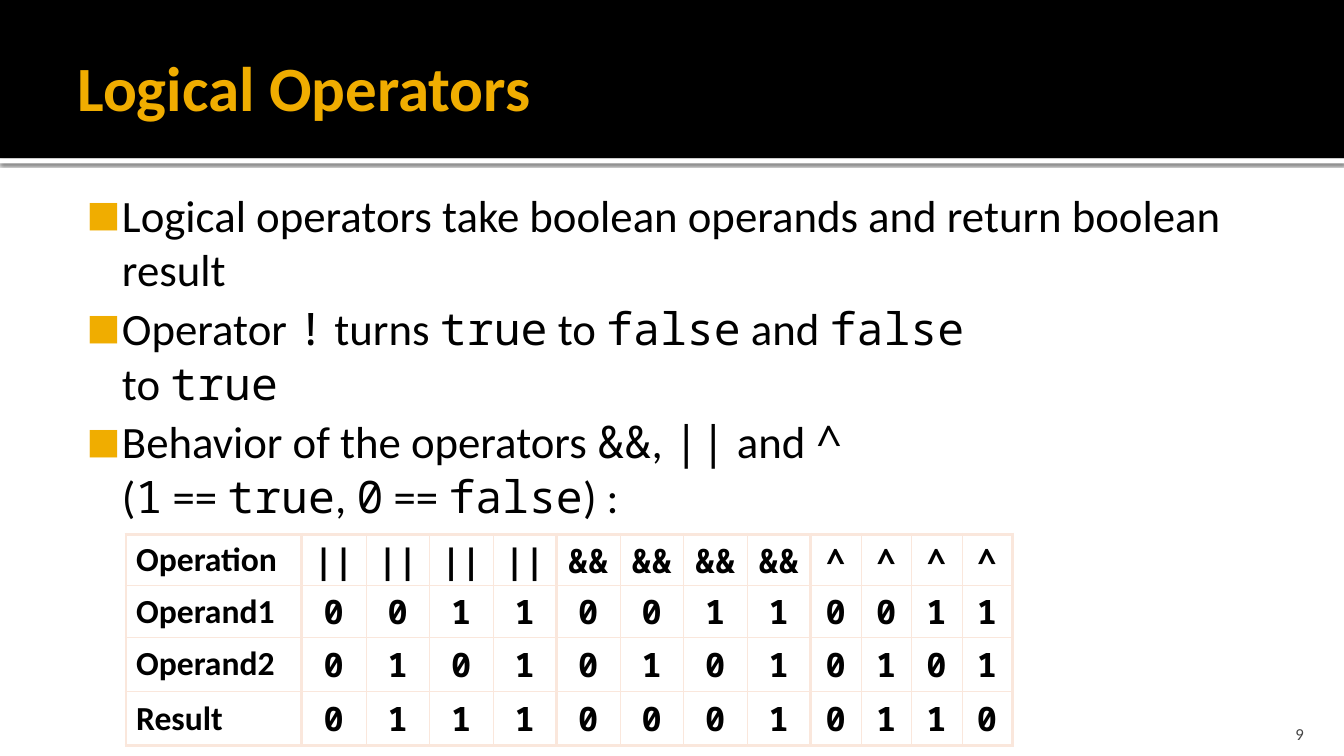
from lxml import etree
from pptx import Presentation
from pptx.dml.color import RGBColor as RGB
from pptx.enum.shapes import MSO_SHAPE as Shape
from pptx.enum.text import MSO_ANCHOR as Anchor, PP_ALIGN as Align
from pptx.oxml.ns import qn
from pptx.util import Inches, Pt

COLORS = {
    "black": "000000", "white": "FFFFFF", "gold": "F0AD00",
    "gray": "454545", "border": "FAE7DC",
}
SANS, MONO = "Calibri", "Noto Sans Mono"

BULLETS = [
    "Logical operators take boolean operands and return boolean result",
    "Operator `!` turns `true` to `false` and `false `\nto `true`",
    "Behavior of the operators `&&`, `||` and `^ `\n(`1` == `true`, `0` == `false`) :",
]

OPERATORS = {
    "||": lambda a, b: a | b,
    "&&": lambda a, b: a & b,
    "^": lambda a, b: a ^ b,
}
OPERANDS = [(a, b) for a in (0, 1) for b in (0, 1)]
CASES = [(name, a, b, rule(a, b)) for name, rule in OPERATORS.items() for a, b in OPERANDS]
TRUTH_ROWS = list(zip(("Operation", "Operand1", "Operand2", "Result"), *CASES))
COLUMN_WIDTHS = [1.74, 0.64] + [0.63] * 7 + [0.5] * 4
ROW_HEIGHTS = [0.51, 0.51, 0.54, 0.54]


class SlideBuilder:
    def __init__(self, page):
        self.page = page

    def style(self, span, size, color="black", font=SANS, bold=False):
        span.font.name = font
        span.font.size = Pt(size)
        span.font.bold = bold
        span.font.color.rgb = RGB.from_string(COLORS[color])

    def band(self, top, height, color, shadow=False):
        box = self.page.shapes.add_shape(
            Shape.RECTANGLE, 0, Inches(top), Inches(13.33), Inches(height))
        box.shadow.inherit = False
        box.fill.solid()
        box.fill.fore_color.rgb = RGB.from_string(COLORS[color])
        box.line.fill.background()
        if shadow:
            effects = box._element.spPr.find(qn("a:effectLst"))
            outer = etree.SubElement(effects, qn("a:outerShdw"), blurRad=str(Pt(2.5)),
                                     dist=str(Pt(0.8)), dir="5400000", rotWithShape="0")
            tint = etree.SubElement(outer, qn("a:srgbClr"), val=COLORS["black"])
            etree.SubElement(tint, qn("a:alpha"), val="60000")

    def frame(self, place, insets, anchor):
        box = self.page.shapes.add_textbox(*map(Inches, place))
        frame = box.text_frame
        frame.word_wrap = True
        frame.vertical_anchor = anchor
        (frame.margin_left, frame.margin_top,
         frame.margin_right, frame.margin_bottom) = map(Inches, insets)
        return frame

    def text(self, text, place, insets, anchor, align, size, color, bold=False):
        frame = self.frame(place, insets, anchor)
        frame.text = text
        para = frame.paragraphs[0]
        para.alignment = align
        self.style(para.runs[0], size, color, bold=bold)

    def bullets(self, items, place, insets, size):
        frame = self.frame(place, insets, Anchor.TOP)
        for index, item in enumerate(items):
            para = frame.add_paragraph() if index else frame.paragraphs[0]
            para.space_before = Pt(3)
            para.line_spacing = Pt(39)
            self.bullet_mark(para)
            for number, line in enumerate(item.split("\n")):
                if number:
                    para.add_line_break()
                for position, piece in enumerate(line.split("`")):
                    if piece:
                        span = para.add_run()
                        span.text = piece
                        self.style(span, size, font=MONO if position % 2 else SANS)

    def bullet_mark(self, para):
        props = para._p.get_or_add_pPr()
        props.set("marL", str(Inches(0.48)))
        props.set("indent", str(Inches(-0.35)))
        color = etree.SubElement(props, qn("a:buClr"))
        etree.SubElement(color, qn("a:srgbClr"), val=COLORS["gold"])
        etree.SubElement(props, qn("a:buSzPct"), val="80000")
        etree.SubElement(props, qn("a:buFont"), typeface=SANS)
        etree.SubElement(props, qn("a:buChar"), char="■")

    def table(self, rows, left, top, widths, heights, size):
        table = self.page.shapes.add_table(
            len(rows), len(widths), Inches(left), Inches(top),
            Inches(sum(widths)), Inches(sum(heights))).table
        table.first_row = table.horz_banding = False
        for column, width in zip(table.columns, widths):
            column.width = Inches(width)
        for row, height in zip(table.rows, heights):
            row.height = Inches(height)
        for r, values in enumerate(rows):
            for c, value in enumerate(values):
                cell = table.cell(r, c)
                self.cell(cell, str(value), c == 0, size)
                self.borders(cell, {
                    "L": c == 0 or c % 4 == 1, "R": c % 4 == 0,
                    "T": r == 0, "B": r == len(rows) - 1})

    def cell(self, cell, text, is_label, size):
        cell.text = text
        cell.fill.background()
        cell.vertical_anchor = Anchor.MIDDLE
        if not is_label:
            cell.margin_left = cell.margin_right = Inches(0.04)
            cell.margin_top = cell.margin_bottom = Inches(0.04)
        para = cell.text_frame.paragraphs[0]
        para.alignment = Align.LEFT if is_label else Align.CENTER
        para.line_spacing = 0.95
        self.style(para.runs[0], size, font=SANS if is_label else MONO, bold=True)

    def borders(self, cell, thick_sides):
        props = cell._tc.get_or_add_tcPr()
        for index, (side, thick) in enumerate(thick_sides.items()):
            line = etree.Element(qn(f"a:ln{side}"), w=str(Pt(2.25 if thick else 0.25)))
            fill = etree.SubElement(line, qn("a:solidFill"))
            etree.SubElement(fill, qn("a:srgbClr"), val=COLORS["border"])
            props.insert(index, line)


def main():
    deck = Presentation()
    deck.slide_width, deck.slide_height = Inches(13.33), Inches(7.5)
    builder = SlideBuilder(deck.slides.add_slide(deck.slide_layouts[6]))
    builder.band(1.57, 0.05, "white", shadow=True)
    builder.band(0, 1.57, "black")
    builder.text("Logical Operators", (0.67, 0.17, 9.17, 1.37), (0.1, 0.05, 0.05, 0.05),
                 Anchor.MIDDLE, Align.LEFT, 45, "gold", bold=True)
    builder.bullets(BULLETS, (0.67, 1.75, 12, 5.06), (0.06, 0.1, 0.1, 0.05), 32)
    builder.text("9", (11.96, 7.08, 1.07, 0.3), (0.1, 0.05, 0.1, 0),
                 Anchor.BOTTOM, Align.RIGHT, 12, "gray")
    builder.table(TRUTH_ROWS, 1.25, 5.3, COLUMN_WIDTHS, ROW_HEIGHTS, 24)
    deck.save("out.pptx")


if __name__ == "__main__":
    main()
